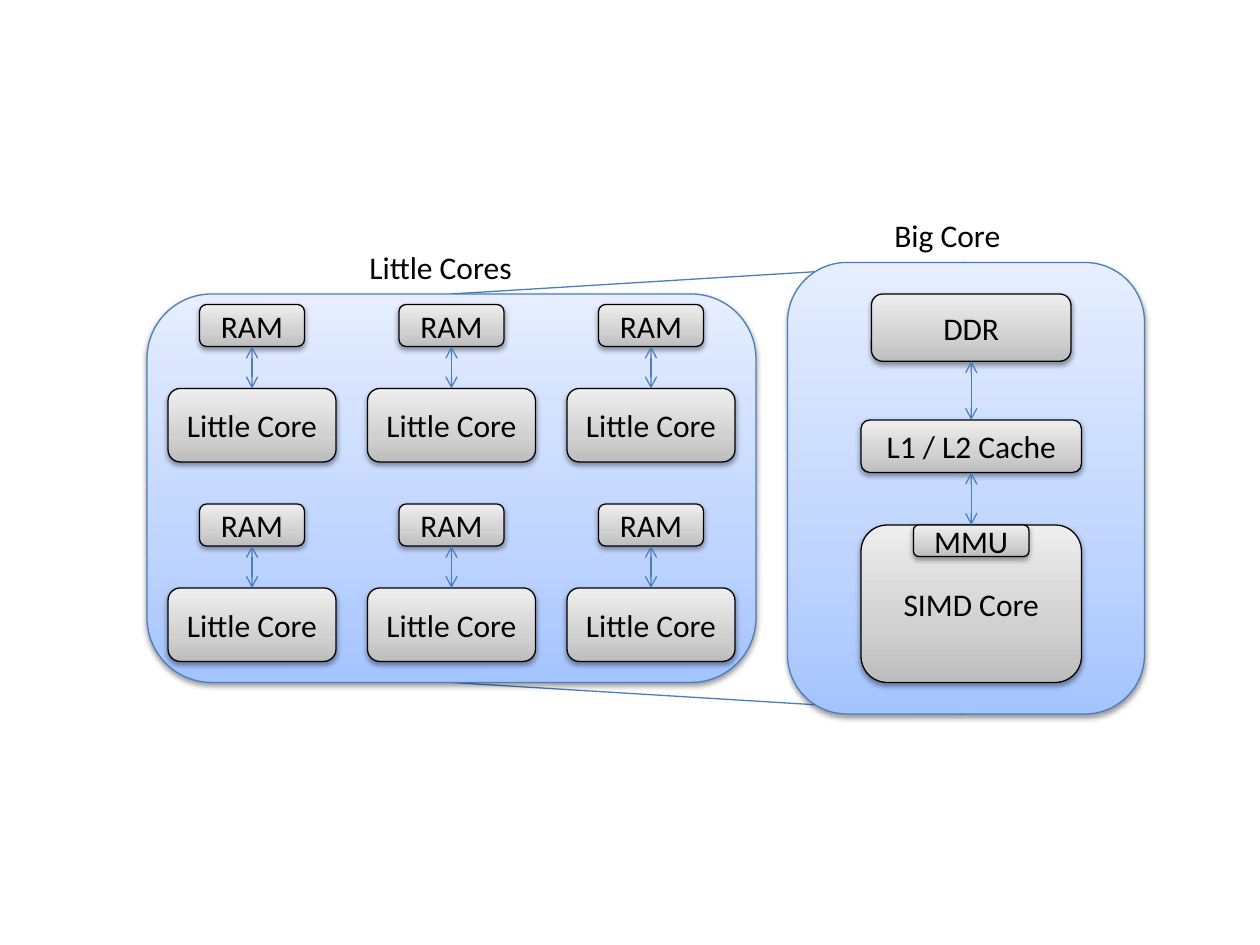
from dataclasses import dataclass
from itertools import product

from lxml import etree
from pptx import Presentation
from pptx import util as u
from pptx.dml import color
from pptx.enum import shapes, text
from pptx.oxml import ns


@dataclass(frozen=True)
class Theme:
    font: str = "Calibri"
    size: float = 18
    ink: str = "000000"
    blue: str = "4B7EBC"
    line_width: float = 0.75
    panel_fill: tuple = ((0, "A4C4FF"), (35, "BFD4FF"), (100, "E6EEFF"))
    block_fill: tuple = ((0, "BDBDBD"), (35, "D1D1D1"), (100, "EEEEEE"))


@dataclass(frozen=True)
class Box:
    left: float
    top: float
    width: float
    height: float
    label: str = ""

    @property
    def center(self) -> float:
        return self.left + self.width / 2

    @property
    def bottom(self) -> float:
        return self.top + self.height

    def frame(self) -> list:
        return [u.Pt(v) for v in (self.left, self.top, self.width, self.height)]


THEME = Theme()

deck = Presentation()
deck.slide_width, deck.slide_height = u.Pt(720), u.Pt(540)
slide = deck.slides.add_slide(deck.slide_layouts[6])


def add_node(parent, tag: str, **attributes: str):
    return etree.SubElement(parent, ns.qn(tag), attributes)


def style_line(line, rgb: str) -> None:
    line.color.rgb = color.RGBColor.from_string(rgb)
    line.width = u.Pt(THEME.line_width)


def write(frame, label: str) -> None:
    frame.text = label
    for run in frame.paragraphs[0].runs:
        run.font.name = THEME.font
        run.font.size = u.Pt(THEME.size)
        run.font.color.rgb = color.RGBColor.from_string(THEME.ink)


def draw_box(box: Box, stops: tuple, outline: str) -> None:
    shape = slide.shapes.add_shape(shapes.MSO_SHAPE.ROUNDED_RECTANGLE, *box.frame())
    style_line(shape.line, outline)

    # Three-stop gradient, light at the top
    shape.fill.gradient()
    shape.fill.gradient_angle = 90
    properties = shape._element.spPr
    stop_list = properties.find(".//" + ns.qn("a:gsLst"))
    for old_stop in list(stop_list):
        stop_list.remove(old_stop)
    for percent, rgb in stops:
        stop = add_node(stop_list, "a:gs", pos=str(percent * 1000))
        add_node(stop, "a:srgbClr", val=rgb)

    # Soft shadow below
    shape.shadow.inherit = False
    shadow = add_node(properties.find(ns.qn("a:effectLst")), "a:outerShdw",
                      blurRad=str(u.Pt(3.1)), dist=str(u.Pt(1.6)),
                      dir="5400000", rotWithShape="0")
    shade = add_node(shadow, "a:srgbClr", val=THEME.ink)
    add_node(shade, "a:alpha", val="38000")

    if box.label:
        write(shape.text_frame, box.label)
        shape.text_frame.vertical_anchor = text.MSO_ANCHOR.MIDDLE
        shape.text_frame.paragraphs[0].alignment = text.PP_ALIGN.CENTER


def draw_block(box: Box) -> None:
    draw_box(box, THEME.block_fill, THEME.ink)


def draw_line(x1: float, y1: float, x2: float, y2: float, arrows: bool = False) -> None:
    link = slide.shapes.add_connector(shapes.MSO_CONNECTOR.STRAIGHT,
                                      u.Pt(x1), u.Pt(y1), u.Pt(x2), u.Pt(y2))
    style_line(link.line, THEME.blue)
    properties = link._element.spPr
    if arrows:
        outline = properties.find(ns.qn("a:ln"))
        for end in ("a:headEnd", "a:tailEnd"):
            add_node(outline, end, type="arrow")
    add_node(properties, "a:effectLst")


def draw_link(upper: Box, lower: Box) -> None:
    draw_line(lower.center, upper.bottom, lower.center, lower.top, arrows=True)


def draw_caption(box: Box) -> None:
    frame = slide.shapes.add_textbox(*box.frame()).text_frame
    frame.word_wrap = True
    frame.auto_size = text.MSO_AUTO_SIZE.SHAPE_TO_FIT_TEXT
    write(frame, box.label)


# Panels and the lines that join them
little_panel = Box(84, 168, 348, 222)
big_panel = Box(450, 150, 204, 258)
draw_line(little_panel.center, little_panel.top, big_panel.center, big_panel.top)
draw_line(little_panel.center, little_panel.bottom, big_panel.center, big_panel.bottom)
for panel in (little_panel, big_panel):
    draw_box(panel, THEME.panel_fill, THEME.blue)

# Little cores, each with its own RAM
PITCH = 114
for column, row in product(range(3), range(2)):
    x, y = 96 + column * PITCH, 174 + row * PITCH
    ram = Box(x + 18, y, 60, 24, "RAM")
    core = Box(x, y + 48, 96, 42, "Little Core")
    draw_block(core)
    draw_block(ram)
    draw_link(ram, core)

# Big core memory chain
ddr = Box(498, 168, 114, 38.4, "DDR")
cache = Box(492, 240, 126, 30, "L1 / L2 Cache")
simd = Box(492, 300, 126, 90, "SIMD Core")
mmu = Box(522, 300, 66, 18, "MMU")
for block in (ddr, simd, cache, mmu):
    draw_block(block)
draw_link(ddr, cache)
draw_link(cache, mmu)

# Captions
draw_caption(Box(504, 120, 114, 29, "Big Core"))
draw_caption(Box(204, 138, 114, 29, "Little Cores"))

deck.save("out.pptx")
